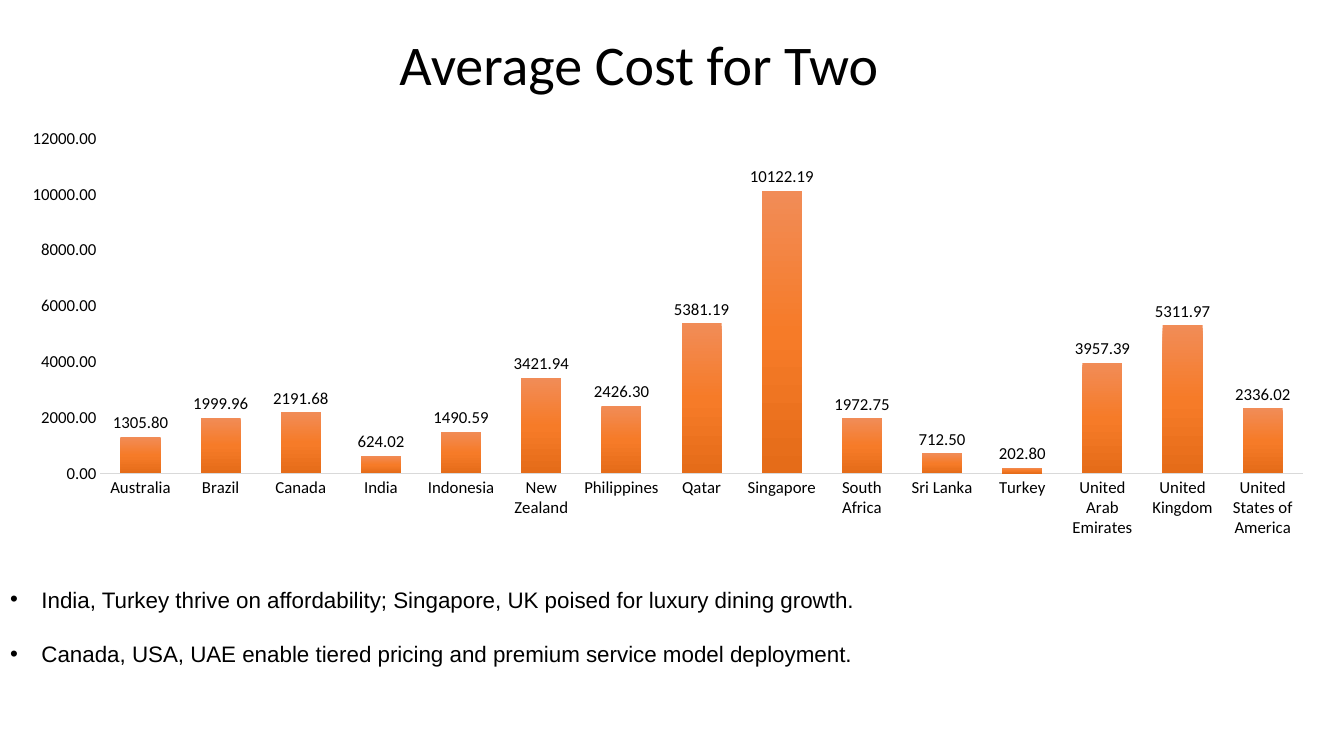
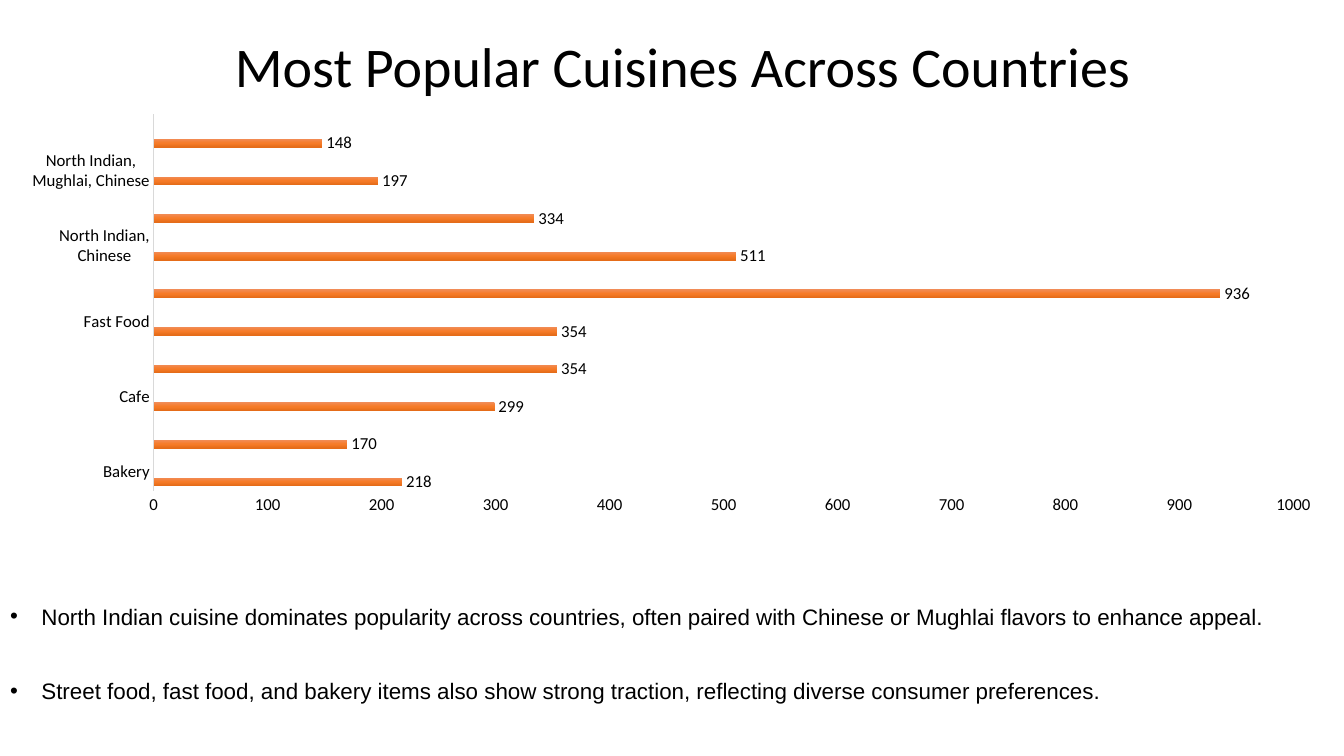
from dataclasses import dataclass

from lxml import etree
from pptx import Presentation
from pptx import util as u
from pptx.chart.data import CategoryChartData
from pptx.dml.color import RGBColor
from pptx.enum import chart as ch
from pptx.enum import text as tx
from pptx.oxml import ns

WIDTH, HEIGHT = 33.87, 19.05
COLOURS = {"ink": "000000", "axis": "D9D9D9"}
FADES = [
    ("F18C57", "F67B28", "E56C19"),
    ("FFC64B", "FFC000", "E3AB00"),
    ("81B861", "6FB242", "62A336"),
]
HEAD_FONT, LIST_FONT = "Calibri", "Arial"


@dataclass
class Box:
    """A frame in centimetres, or a share of its parent."""
    left: float
    top: float
    width: float
    height: float

    def place(self, shape) -> None:
        shape.left, shape.top, shape.width, shape.height = self.lengths()

    def lengths(self) -> list:
        return [u.Cm(v) for v in (self.left, self.top, self.width, self.height)]


@dataclass
class Graph:
    kind: ch.XL_CHART_TYPE
    box: Box
    plot: Box
    values: dict[str, float]
    top: int
    step: int
    form: str
    gap: int
    overlap: int
    spare: int = 0  # empty series after the first


@dataclass
class Page:
    title: str
    head: Box
    graph: Graph
    points: list[str]
    body: Box
    space: int


PAGES = [
    Page(
        "Average Cost for Two",
        Box(1.1, 0.6, 30, 2),
        Graph(
            ch.XL_CHART_TYPE.COLUMN_CLUSTERED,
            Box(0.2, 2.95, 33.3, 10.82),
            Box(0.07, 0.05, 0.91, 0.78),
            {
                "Australia": 1305.8, "Brazil": 1999.96, "Canada": 2191.68,
                "India": 624.02, "Indonesia": 1490.59, "New Zealand": 3421.94,
                "Philippines": 2426.3, "Qatar": 5381.19, "Singapore": 10122.19,
                "South Africa": 1972.75, "Sri Lanka": 712.5, "Turkey": 202.8,
                "United Arab Emirates": 3957.39, "United Kingdom": 5311.97,
                "United States of America": 2336.02,
            },
            top=12000, step=2000, form="0.00", gap=100, overlap=-24,
        ),
        [
            "India, Turkey thrive on affordability; Singapore, UK poised for luxury dining growth.",
            "Canada, USA, UAE enable tiered pricing and premium service model deployment.",
        ],
        Box(0, 14.63, WIDTH, 3),
        20,
    ),
    Page(
        "Most Popular Cuisines Across Countries",
        Box(2.2, 0.65, 30, 2),
        Graph(
            ch.XL_CHART_TYPE.BAR_CLUSTERED,
            Box(0.2, 2.67, 33.4, 10.54),
            Box(0.11, 0.02, 0.86, 0.9),
            {
                "Bakery": 218, "Bakery, Desserts": 170, "Cafe": 299,
                "Chinese": 354, "Fast Food": 354, "North Indian": 936,
                "North Indian, Chinese": 511, "North Indian, Mughlai": 334,
                "North Indian, Mughlai, Chinese": 197, "Street Food": 148,
            },
            top=1000, step=100, form="0", gap=115, overlap=-20, spare=2,
        ),
        [
            "North Indian cuisine dominates popularity across countries, often paired with "
            "Chinese or Mughlai flavors to enhance appeal.",
            "Street food, fast food, and bakery items also show strong traction, "
            "reflecting diverse consumer preferences.",
        ],
        Box(0, 15.06, WIDTH, 3),
        34,
    ),
]


def style(font, name: str, size: int) -> None:
    font.name, font.size = name, u.Pt(size)
    font.color.rgb = RGBColor.from_string(COLOURS["ink"])


def fade(series, stops: tuple[str, ...]) -> None:
    """Fill a series from top to bottom with evenly spaced colours."""
    fill = series.format.fill
    fill.gradient()
    fill.gradient_angle = 270
    row = series.format._element.find(".//" + ns.qn("a:gsLst"))
    for stop in list(row):
        row.remove(stop)
    for i, shade in enumerate(stops):
        stop = etree.SubElement(row, ns.qn("a:gs"), pos=str(i * 100000 // (len(stops) - 1)))
        etree.SubElement(stop, ns.qn("a:srgbClr"), val=shade)


def set_plot(chart, plot: Box) -> None:
    """Fix the inner plot area as shares of the chart frame."""
    area = chart._chartSpace.find(".//" + ns.qn("c:plotArea"))
    old = area.find(ns.qn("c:layout"))
    if old is not None:
        area.remove(old)
    outer = etree.Element(ns.qn("c:layout"))
    area.insert(0, outer)
    inner = etree.SubElement(outer, ns.qn("c:manualLayout"))
    parts = {"layoutTarget": "inner", "xMode": "edge", "yMode": "edge",
             "x": plot.left, "y": plot.top, "w": plot.width, "h": plot.height}
    for tag, value in parts.items():
        etree.SubElement(inner, ns.qn("c:" + tag), val=str(value))


def add_graph(slide, graph: Graph) -> None:
    data = CategoryChartData(number_format=graph.form)
    data.categories = list(graph.values)
    data.add_series("Series 1", list(graph.values.values()))
    for i in range(graph.spare):
        data.add_series(f"Series {i + 2}", [None] * len(graph.values))
    chart = slide.shapes.add_chart(graph.kind, *graph.box.lengths(), data).chart
    chart.has_title = chart.has_legend = False
    style(chart.font, HEAD_FONT, 12)
    set_plot(chart, graph.plot)

    for axis in (chart.category_axis, chart.value_axis):
        axis.has_major_gridlines = False
        axis.major_tick_mark = axis.minor_tick_mark = ch.XL_TICK_MARK.NONE
        style(axis.tick_labels.font, HEAD_FONT, 12)
    line = chart.category_axis.format.line
    line.width = u.Pt(1)
    line.color.rgb = RGBColor.from_string(COLOURS["axis"])
    scale = chart.value_axis
    scale.format.line.fill.background()
    scale.minimum_scale, scale.maximum_scale = 0, graph.top
    scale.major_unit = graph.step
    scale.tick_labels.number_format = graph.form
    scale.tick_labels.number_format_is_linked = False

    bars = chart.plots[0]
    bars.vary_by_categories = False
    bars.gap_width, bars.overlap = graph.gap, graph.overlap
    for series, stops in zip(bars.series, FADES):
        fade(series, stops)
        labels = series.data_labels
        labels.show_value = True
        labels.position = ch.XL_LABEL_POSITION.OUTSIDE_END
        labels.number_format, labels.number_format_is_linked = graph.form, False
        style(labels.font, HEAD_FONT, 12)


def add_title(slide, page: Page) -> None:
    title = slide.shapes.title
    page.head.place(title)
    frame = title.text_frame
    frame.text = page.title
    frame.auto_size = tx.MSO_AUTO_SIZE.NONE
    frame.vertical_anchor = tx.MSO_ANCHOR.MIDDLE
    line = frame.paragraphs[0]
    line.alignment = tx.PP_ALIGN.CENTER
    style(line.font, HEAD_FONT, 40)


def add_points(slide, page: Page) -> None:
    body = slide.placeholders[1]
    page.body.place(body)
    frame = body.text_frame
    frame.text = "\n".join(page.points)
    frame.auto_size = tx.MSO_AUTO_SIZE.NONE
    frame.vertical_anchor = tx.MSO_ANCHOR.TOP
    for i, point in enumerate(frame.paragraphs):
        props = point._p.get_or_add_pPr()
        props.set("marL", str(u.Cm(0.79)))
        props.set("indent", str(u.Cm(-0.79)))
        point.space_before = u.Pt(page.space if i else 0)
        style(point.font, LIST_FONT, 16)


def main() -> None:
    deck = Presentation()
    deck.slide_width, deck.slide_height = u.Cm(WIDTH), u.Cm(HEIGHT)
    for page in PAGES:
        slide = deck.slides.add_slide(deck.slide_layouts[1])
        add_title(slide, page)
        add_graph(slide, page.graph)
        add_points(slide, page)
    deck.save("out.pptx")


if __name__ == "__main__":
    main()
